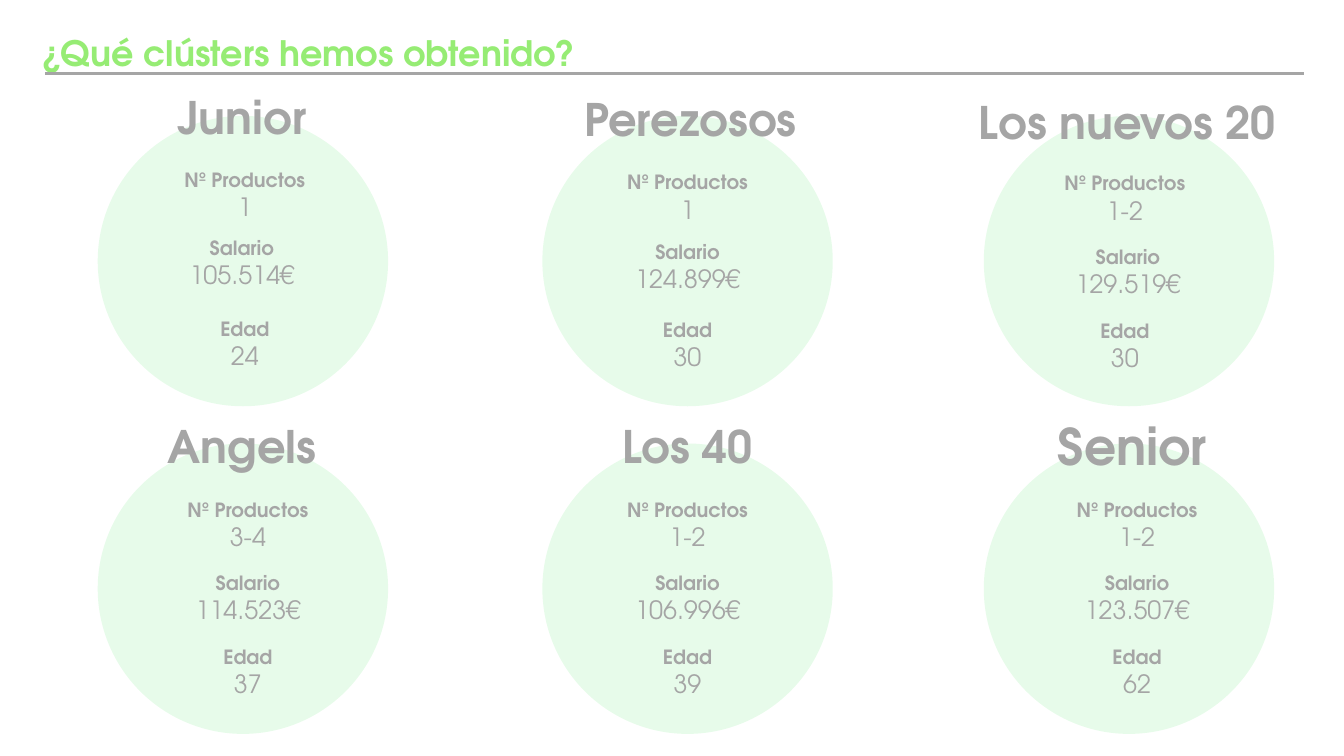
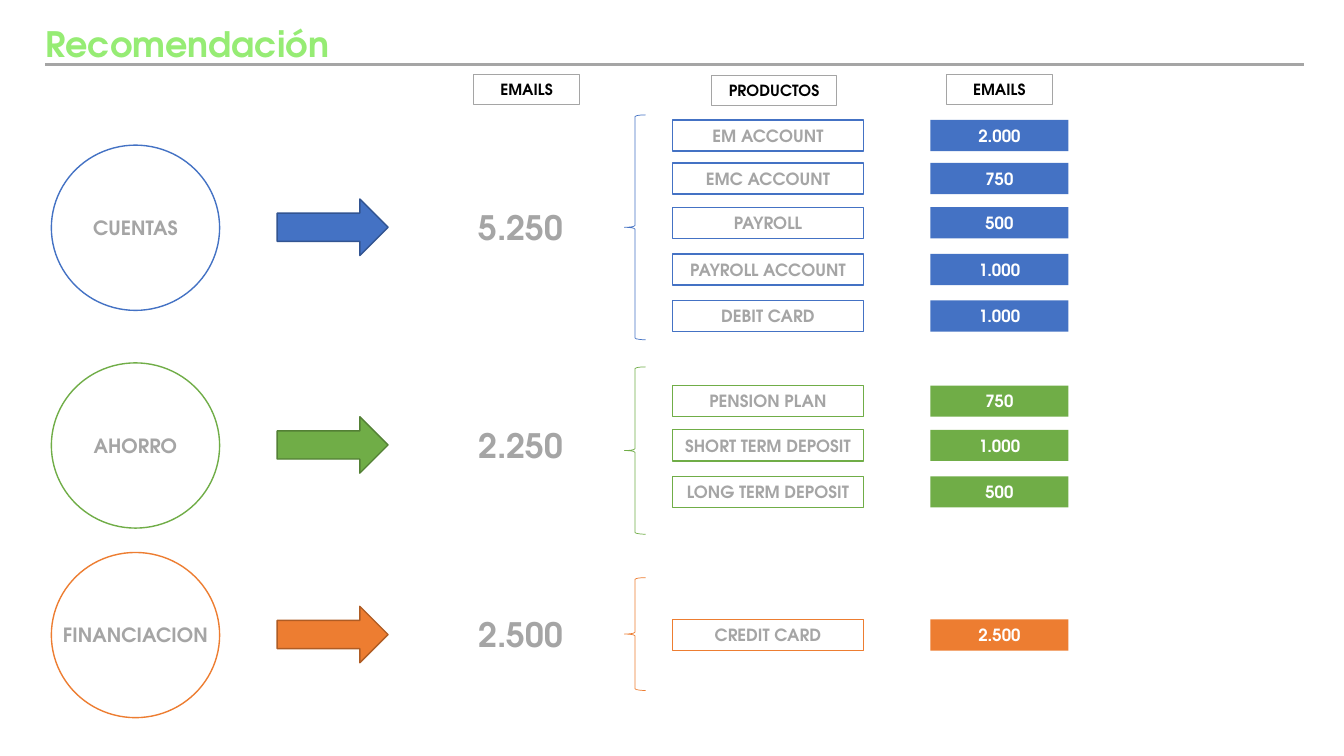
from lxml import etree
from pptx import Presentation
from pptx.dml.color import RGBColor
from pptx.enum.shapes import MSO_CONNECTOR, MSO_SHAPE
from pptx.enum.text import MSO_ANCHOR, PP_ALIGN
from pptx.oxml.ns import qn
from pptx.util import Pt

OVAL = MSO_SHAPE.OVAL
RECT = MSO_SHAPE.RECTANGLE
ARROW = MSO_SHAPE.RIGHT_ARROW
BRACE = MSO_SHAPE.LEFT_BRACE
LINE = MSO_CONNECTOR.STRAIGHT
LEFT, CENTER = PP_ALIGN.LEFT, PP_ALIGN.CENTER
TOP, MIDDLE = MSO_ANCHOR.TOP, MSO_ANCHOR.MIDDLE

FONT = "TeX Gyre Adventor"
LIME = RGBColor(0x96, 0xEC, 0x74)
MINT = RGBColor(0x17, 0xE1, 0x34)
GRAY = RGBColor(0xA5, 0xA5, 0xA5)
WHITE = RGBColor(0xFF, 0xFF, 0xFF)
BLACK = RGBColor(0, 0, 0)
BLUE, NAVY = RGBColor(0x44, 0x72, 0xC4), RGBColor(0x32, 0x54, 0x91)
GREEN, MOSS = RGBColor(0x70, 0xAD, 0x47), RGBColor(0x53, 0x80, 0x35)
ORANGE, RUST = RGBColor(0xED, 0x7D, 0x31), RGBColor(0xAF, 0x5C, 0x24)

DISC = 207.4
COLS = (69.8, 387.4, 702.7)
ROWS = (82.8, 316.8)
LABELS = ("Nº Productos", "Salario", "Edad")
LOW = (38.9, 90.7, 144)

# name, size, title shift, fact shifts, fact tops, values
CLUSTERS = (
    ("Junior", 32, (-0.7, 0), (1.4, -0.7, 1.4), (37.4, 85.7, 143.3),
     ("1", "105.514€", "24")),
    ("Perezosos", 32, (2, 1.5), (0, 0, 0), (38.9, 88.6, 144),
     ("1", "124.899€", "30")),
    ("Los nuevos 20", 32, (-1.2, 3.6), (-2.9, -0.7, -2.9), (39.6, 92.2, 144.7),
     ("1-2", "129.519€", "30")),
    ("Angels", 32, (-0.7, 0.7), (3.6, 3.6, 3.6), LOW,
     ("3-4", "114.523€", "37")),
    ("Los 40", 32, (0, 0.7), (0, 0, 0), LOW,
     ("1-2", "106.996€", "39")),
    ("Senior", 36, (2.5, 0.5), (5.8, 5.8, 5.8), LOW,
     ("1-2", "123.507€", "62")),
)

HEADS = (("EMAILS", 376.2, 53.3, 75.6), ("PRODUCTOS", 553, 54, 89.3),
         ("EMAILS", 713.9, 53.3, 75.6))

GROUPS = (
    ("CUENTAS", "5.250", BLUE, NAVY, 162.7, (82.1, 160.6),
     (("EM ACCOUNT", "2.000", 85.7), ("EMC ACCOUNT", "750", 116.4),
      ("PAYROLL", "500", 148), ("PAYROLL ACCOUNT", "1.000", 181.4),
      ("DEBIT CARD", "1.000", 214.6))),
    ("AHORRO", "2.250", GREEN, MOSS, 318.2, (262.1, 119.5),
     (("PENSION PLAN", "750", 275.4), ("SHORT TERM DEPOSIT", "1.000", 307),
      ("LONG TERM DEPOSIT", "500", 340.2))),
    ("FINANCIACION", "2.500", ORANGE, RUST, 453.6, (412.6, 80.6),
     (("CREDIT CARD", "2.500", 442.4),)),
)


def box(x, y, w, h):
    """Turn a box in points into lengths."""
    return Pt(x), Pt(y), Pt(w), Pt(h)


def write(frame, text, *, size, color=GRAY, bold=True, align=CENTER,
          anchor=MIDDLE, wrap=True, more=False):
    """Set text in a frame, or add a paragraph to it."""
    frame.word_wrap = wrap
    frame.vertical_anchor = anchor
    frame.margin_left = frame.margin_right = 0
    frame.margin_top = frame.margin_bottom = 0
    para = frame.add_paragraph() if more else frame.paragraphs[0]
    para.alignment = align
    run = para.add_run()
    run.text = text
    run.font.name = FONT
    run.font.size = Pt(size)
    run.font.bold = bold
    run.font.color.rgb = color


def label(slide, area, text, **style):
    """Add a text box and return its frame."""
    frame = slide.shapes.add_textbox(*box(*area)).text_frame
    write(frame, text, **style)
    return frame


def draw(slide, kind, area, fill=None, line=None, width=1):
    """Add a preset shape with plain fill and line."""
    shape = slide.shapes.add_shape(kind, *box(*area))
    shape.shadow.inherit = False
    if fill is None:
        shape.fill.background()
    else:
        shape.fill.solid()
        shape.fill.fore_color.rgb = fill
    if line is None:
        shape.line.fill.background()
    else:
        shape.line.color.rgb = line
        shape.line.width = Pt(width)
    return shape


def fade(shape, share):
    """Make a solid fill partly clear."""
    tint = shape._element.spPr.find(qn("a:solidFill"))[0]
    etree.SubElement(tint, qn("a:alpha")).set("val", str(share * 1000))


def start(deck, text, left, top):
    """Add a slide with its title and rule."""
    slide = deck.slides.add_slide(deck.slide_layouts[5])
    title = slide.shapes.title
    title.left, title.top, title.width, title.height = box(left, top, 810, 30.2)
    write(title.text_frame, text, size=25, color=LIME, align=LEFT)
    y = Pt(top + 30.2)
    rule = slide.shapes.add_connector(LINE, Pt(32.4), y, Pt(931.7), y)
    rule.line.color.rgb = GRAY
    rule.line.width = Pt(1.5)
    etree.SubElement(rule._element.spPr, qn("a:effectLst"))
    return slide


def cluster(slide, x, y, name, size, shift, moves, tops, values):
    """Draw one disc with its name and three facts."""
    fade(draw(slide, OVAL, (x, y, DISC, DISC), MINT), 10)
    mid = x + DISC / 2
    label(slide, (mid - 110 + shift[0], y - 19 + shift[1], 220, 39), name,
          size=size)
    for head, move, top, value in zip(LABELS, moves, tops, values):
        frame = label(slide, (mid - 57 + move, y + top, 114, 40), head,
                      size=14, anchor=TOP)
        write(frame, value, size=18, bold=False, anchor=TOP, more=True)


def group(slide, name, total, hue, edge, mid, span, items):
    """Draw one product group around its middle line."""
    disc = draw(slide, OVAL, (36.7, mid - 59, 120.2, 118), WHITE, hue)
    write(disc.text_frame, name, size=14, wrap=False)
    draw(slide, ARROW, (198, mid - 20.5, 79.2, 40.3), hue, edge)
    label(slide, (290.2, mid - 15, 163.4, 28.8), total, size=24)
    draw(slide, BRACE, (446, span[0], 15.1, span[1]), line=hue, width=0.5)
    for item, count, top in items:
        card = draw(slide, RECT, (480.2, top, 136.8, 22.3), WHITE, hue)
        write(card.text_frame, item, size=12)
        tag = draw(slide, RECT, (664.6, top, 98.6, 22.3), hue)
        write(tag.text_frame, count, size=12, color=WHITE)


def main():
    """Build both slides and save them."""
    deck = Presentation()
    deck.slide_width, deck.slide_height = Pt(960), Pt(540)

    slide = start(deck, "¿Qué clústers hemos obtenido?", 29.5, 22.3)
    for i, data in enumerate(CLUSTERS):
        cluster(slide, COLS[i % 3], ROWS[i // 3], *data)

    slide = start(deck, "Recomendación", 32.4, 15.9)
    for text, mid, top, width in HEADS:
        head = draw(slide, RECT, (mid - width / 2, top, width, 21.6), WHITE, GRAY)
        write(head.text_frame, text, size=11, color=BLACK)
    for data in GROUPS:
        group(slide, *data)

    deck.save("out.pptx")


if __name__ == "__main__":
    main()
